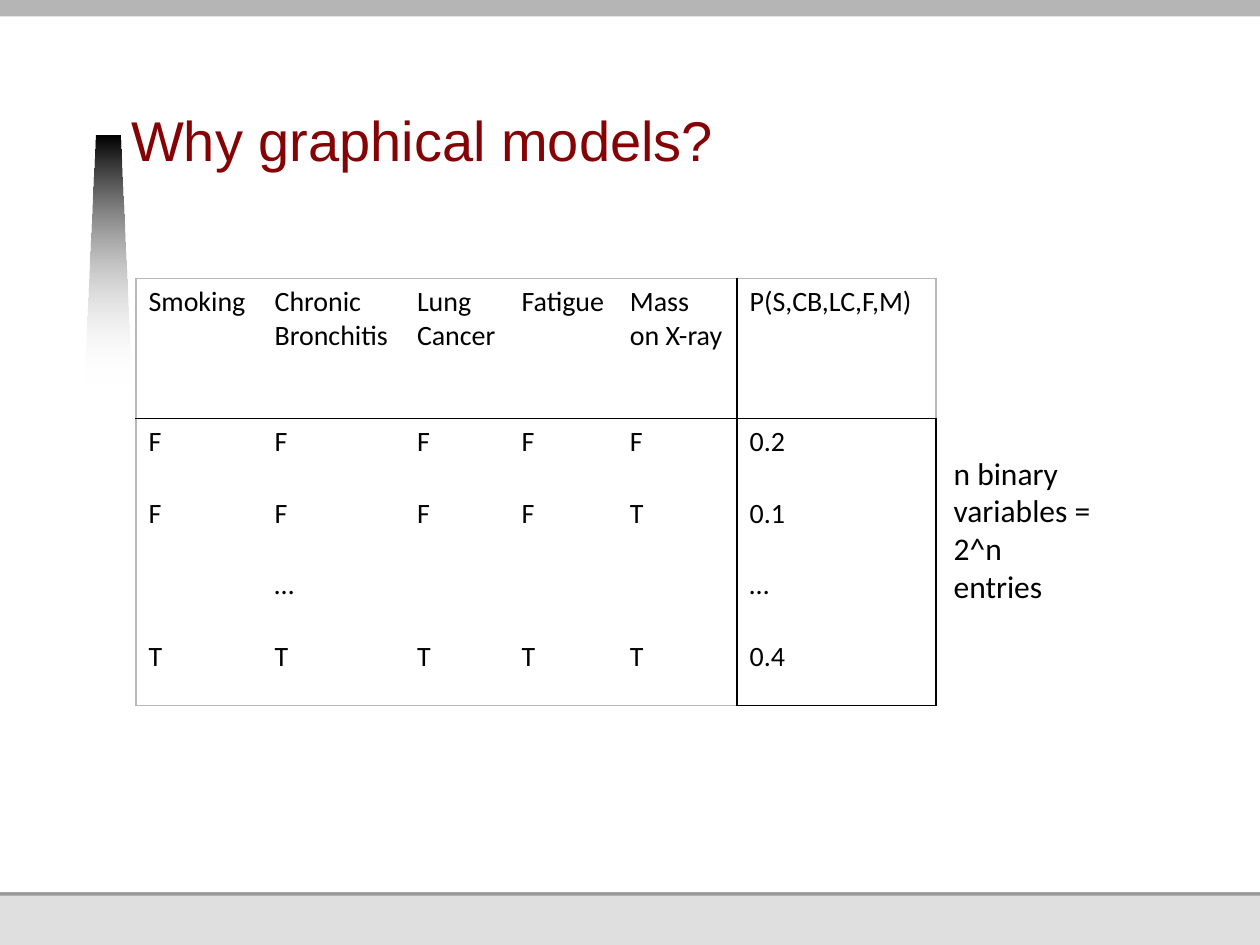
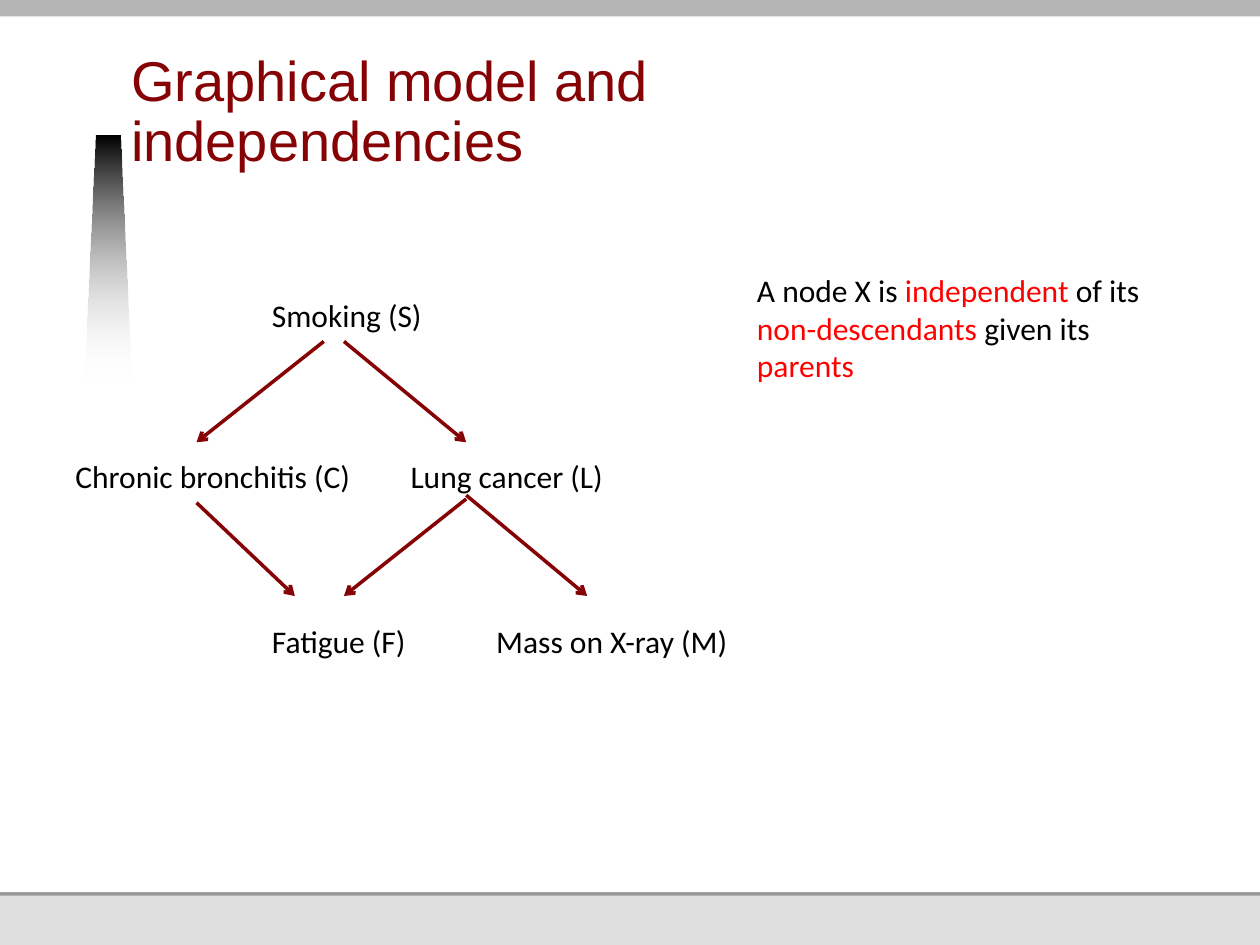
from lxml.etree import SubElement
from pptx import Presentation
from pptx.dml.color import RGBColor
from pptx.enum.shapes import MSO_CONNECTOR as Connector, MSO_SHAPE as Shape
from pptx.enum.text import MSO_ANCHOR as Anchor, MSO_AUTO_SIZE as AutoSize, PP_ALIGN as Align
from pptx.oxml.ns import qn
from pptx.util import Inches, Pt

WIDTH, HEIGHT = 10, 7.5
BLACK, WHITE, MAROON, RED, SILVER = "000000", "FFFFFF", "850205", "FF0000", "B8B8B8"
BANDS = [(0, HEIGHT, "DFDFDF"), (1.78, 7.11, "989898"), (0, 7.08, WHITE), (0, 0.13, "B5B5B5")]
PILLAR = [(0.67, 3.05), (0.76, 1.08), (0.95, 1.08), (1.04, 3.05)]
TITLE_AT = (1.04, 0.34, 6.87, 1.08)
TITLE_FONT = {"name": "Arial", "size": Pt(32), "bold": False}
BODY_FONT = {"name": "Calibri", "size": Pt(18)}
TABLE_FONT = {"name": "Calibri", "size": Pt(16)}
NO_GRID_STYLE = "{2D5ABB26-0587-4C30-8999-92F81FD0307C}"

JOINT_TITLE = "Why graphical models?"
JOINT_ROWS = [
    ["Smoking", "Chronic Bronchitis", "Lung Cancer", "Fatigue", "Mass on X-ray", "P(S,CB,LC,F,M)"],
    ["F", "F", "F", "F", "F", "0.2"],
    ["F", "F", "F", "F", "T", "0.1"],
    ["", "…", "", "", "", "…"],
    ["T", "T", "T", "T", "T", "0.4"],
]
JOINT_ORIGIN = (1.08, 2.21)
COLUMN_WIDTHS = [1, 1.13, 0.83, 0.86, 0.95, 1.58]
ROW_HEIGHTS = [1.11] + [0.57] * 4
SIZE_NOTE = [("n binary variables = 2^n entries", BLACK)]
SIZE_NOTE_AT = (7.47, 3.55, 1.29, 1.31)

GRAPH_TITLE = "Graphical model and independencies"
NODES = [
    ("Smoking (S)", 2.06, 2.3, 1.4),
    ("Chronic bronchitis (C)", 0.5, 3.58, 2.41),
    ("Lung cancer (L)", 3.16, 3.58, 1.75),
    ("Fatigue (F)", 2.06, 4.89, 1.28),
    ("Mass on X-ray (M)", 3.84, 4.89, 2.07),
]
NODE_HEIGHT = 0.4
EDGES = [
    ((2.57, 2.71), (1.56, 3.51)),
    ((2.73, 2.71), (3.7, 3.51)),
    ((3.7, 3.96), (2.73, 4.73)),
    ((3.7, 3.93), (4.66, 4.73)),
    ((1.56, 3.99), (2.34, 4.73)),
]
RULE_NOTE = [
    ("A node X is ", BLACK), ("independent", RED), (" of its ", BLACK),
    ("non-descendants ", RED), ("given its ", BLACK), ("parents", RED),
]
RULE_NOTE_AT = (5.91, 2.1, 3.46, 1.01)


def color(code):
    return RGBColor.from_string(code)


def inches(values):
    return [Inches(value) for value in values]


def apply(target, values):
    for name, value in values.items():
        setattr(target, name, value)


def add_span(para, text, font, code):
    span = para.add_run()
    span.text = text
    apply(span.font, font)
    span.font.color.rgb = color(code)


def add_text(page, spans, at, wrap=True):
    box = page.shapes.add_textbox(*inches(at))
    apply(box.text_frame, {"word_wrap": wrap, "auto_size": AutoSize.SHAPE_TO_FIT_TEXT})
    for text, code in spans:
        add_span(box.text_frame.paragraphs[0], text, BODY_FONT, code)


def add_pillar(page):
    points = [tuple(inches(point)) for point in PILLAR]
    builder = page.shapes.build_freeform(*points[0], scale=1.0)
    builder.add_line_segments(points[1:], close=True)
    pillar = builder.convert_to_shape()
    pillar.shadow.inherit = False
    pillar.line.fill.background()
    pillar.fill.gradient()
    pillar.fill.gradient_angle = 270
    for stop, code in zip(pillar.fill.gradient_stops, (BLACK, WHITE)):
        stop.color.rgb = color(code)
    clear_stop = list(pillar._element.iter(qn("a:srgbClr")))[-1]
    SubElement(clear_stop, qn("a:alpha"), val="0")


def add_page(deck, title):
    page = deck.slides.add_slide(deck.slide_layouts[5])
    for top, bottom, code in BANDS:
        band = page.shapes.add_shape(Shape.RECTANGLE, *inches((0, top, WIDTH, bottom - top)))
        band.shadow.inherit = False
        band.fill.solid()
        band.fill.fore_color.rgb = color(code)
        band.line.fill.background()
    add_pillar(page)
    heading = page.shapes.title
    page.shapes._spTree.append(heading._element)
    apply(heading, dict(zip(("left", "top", "width", "height"), inches(TITLE_AT))))
    apply(heading.text_frame, {
        "margin_left": 0, "margin_right": 0, "margin_top": 0, "margin_bottom": Inches(0.05),
        "vertical_anchor": Anchor.BOTTOM, "word_wrap": True, "auto_size": AutoSize.NONE,
    })
    para = heading.text_frame.paragraphs[0]
    apply(para, {"alignment": Align.LEFT, "line_spacing": Pt(34)})
    add_span(para, title, TITLE_FONT, MAROON)
    return page


def set_borders(cell, sides):
    properties = cell._tc.get_or_add_tcPr()
    for side, code in sides.items():
        line = SubElement(properties, qn(f"a:ln{side}"), w=str(Pt(1)))
        if code:
            fill = SubElement(line, qn("a:solidFill"))
            SubElement(fill, qn("a:srgbClr"), val=code)
        else:
            SubElement(line, qn("a:noFill"))


def joint_borders(row, column):
    last_row, last_column = len(JOINT_ROWS) - 1, len(COLUMN_WIDTHS) - 1
    header, chance = row == 0, column == last_column
    left = SILVER if column == 0 else BLACK if chance else None
    right = BLACK if column == last_column - 1 else None
    if chance:
        right = SILVER if header else BLACK
    top = SILVER if header else BLACK if row == 1 else None
    bottom = BLACK if header else None
    if row == last_row:
        bottom = BLACK if chance else SILVER
    return {"L": left, "R": right, "T": top, "B": bottom}


def add_joint_table(page):
    size = (sum(COLUMN_WIDTHS), sum(ROW_HEIGHTS))
    frame = page.shapes.add_table(len(JOINT_ROWS), len(COLUMN_WIDTHS), *inches(JOINT_ORIGIN + size))
    table = frame.table
    apply(table, {"first_row": False, "horz_banding": False})
    table._tbl.tblPr.find(qn("a:tableStyleId")).text = NO_GRID_STYLE
    for column, width in zip(table.columns, COLUMN_WIDTHS):
        column.width = Inches(width)
    for r, (values, height) in enumerate(zip(JOINT_ROWS, ROW_HEIGHTS)):
        table.rows[r].height = Inches(height)
        for c, value in enumerate(values):
            cell = table.cell(r, c)
            set_borders(cell, joint_borders(r, c))
            cell.fill.background()
            if value:
                add_span(cell.text_frame.paragraphs[0], value, TABLE_FONT, BLACK)


def add_edge(page, start, end):
    edge = page.shapes.add_connector(Connector.STRAIGHT, *inches(start + end))
    edge.line.width = Pt(2)
    edge.line.color.rgb = color(MAROON)
    SubElement(edge.line._get_or_add_ln(), qn("a:tailEnd"), type="arrow")
    SubElement(edge._element.spPr, qn("a:effectLst"))


def main():
    deck = Presentation()
    apply(deck, {"slide_width": Inches(WIDTH), "slide_height": Inches(HEIGHT)})

    joint_page = add_page(deck, JOINT_TITLE)
    add_joint_table(joint_page)
    add_text(joint_page, SIZE_NOTE, SIZE_NOTE_AT)

    graph_page = add_page(deck, GRAPH_TITLE)
    for label, left, top, width in NODES:
        add_text(graph_page, [(label, BLACK)], (left, top, width, NODE_HEIGHT), wrap=False)
    for start, end in EDGES:
        add_edge(graph_page, start, end)
    add_text(graph_page, RULE_NOTE, RULE_NOTE_AT)

    deck.save("out.pptx")


if __name__ == "__main__":
    main()
